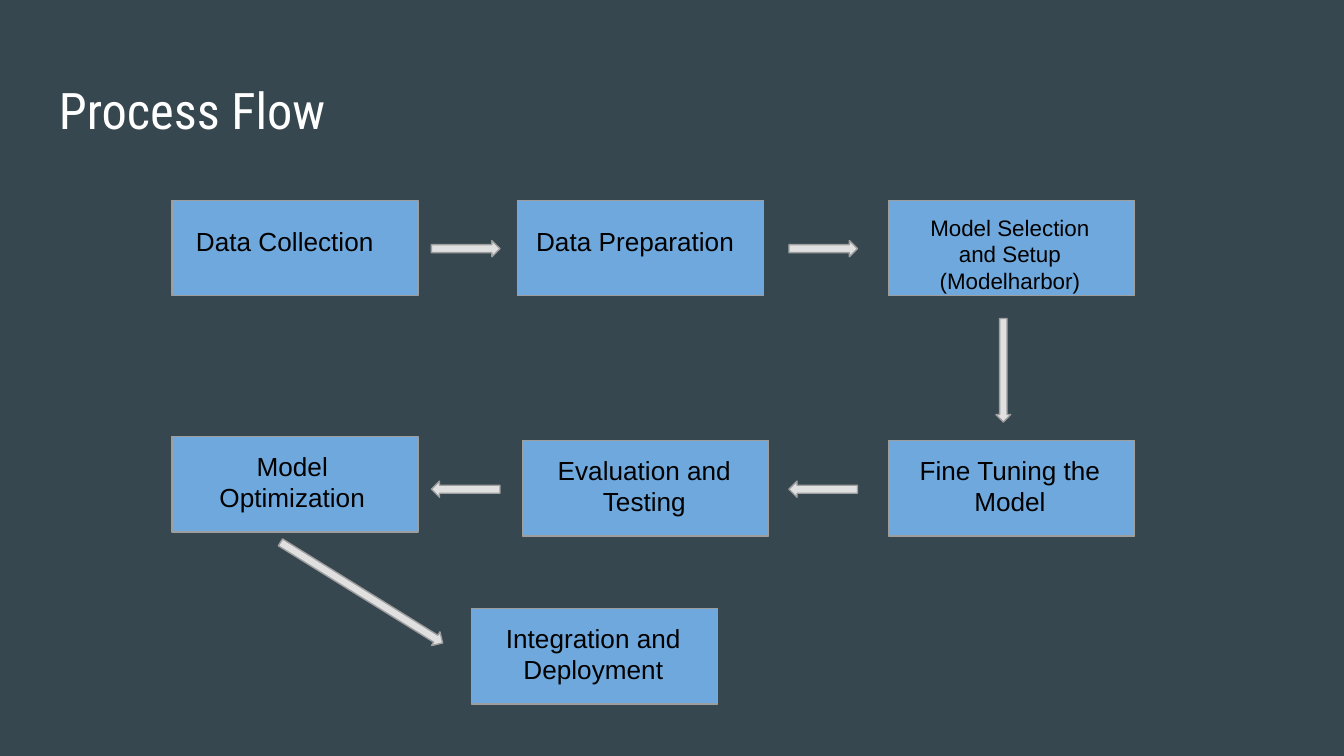
from typing import NamedTuple

from pptx import Presentation
from pptx.dml.color import RGBColor
from pptx.enum import shapes, text
from pptx.util import Inches, Pt

BOX_W, BOX_H = 1.83, 0.71
ARROW_W, ARROW_H = 0.51, 0.12
LEFT, RIGHT = 1.28, 6.61
TOP, LOW = 1.49, 3.28
EDGE = "9E9E9E"
CENTER, START = text.PP_ALIGN.CENTER, text.PP_ALIGN.LEFT


class Step(NamedTuple):
    name: str
    x: float
    y: float
    size: int = 14
    align: text.PP_ALIGN = CENTER
    inset: float = 0.09
    drop: float = 0
    w: float = 1.63


class Arrow(NamedTuple):
    x: float
    y: float
    turn: float = 0
    w: float = ARROW_W
    h: float = ARROW_H


STEPS = [
    Step("Data Collection", LEFT, TOP, align=START, inset=0.08, drop=0.09),
    Step("Data Preparation", 3.85, TOP, align=START, inset=0.04, drop=0.09,
         w=1.75),
    Step("Model Selection and Setup (Modelharbor)", RIGHT, TOP, size=12),
    Step("Fine Tuning the Model", RIGHT, LOW),
    Step("Evaluation and Testing", 3.89, LOW),
    Step("Model Optimization", LEFT, 3.25, inset=0.08),
    Step("Integration and Deployment", 3.51, 4.53),
]
ARROWS = [
    *(Arrow(x, y, turn) for y, turn in ((1.79, 0), (3.58, 180))
      for x in (3.21, 5.87)),
    Arrow(7.08, 2.7, 90, 0.77, 0.11),
    Arrow(1.98, 4.35, 31.8, 1.42),
]


def color(code: str) -> RGBColor:
    return RGBColor.from_string(code)


def add_block(slide, kind, x: float, y: float, w: float, h: float, fill: str):
    block = slide.shapes.add_shape(kind, *map(Inches, (x, y, w, h)))
    block.shadow.inherit = False
    block.fill.solid()
    block.fill.fore_color.rgb = color(fill)
    block.line.color.rgb = color(EDGE)
    block.line.width = Pt(0.75)
    return block


def add_label(slide, words: str, x: float, y: float, w: float, h: float,
              size: int, align=START, face: str = "Arial",
              ink: str = "000000") -> None:
    frame = slide.shapes.add_textbox(*map(Inches, (x, y, w, h))).text_frame
    pad = Inches(0.1)
    style = {"word_wrap": True, "margin_left": pad, "margin_right": pad,
             "margin_top": pad, "margin_bottom": pad}
    for key, value in style.items():
        setattr(frame, key, value)
    para = frame.paragraphs[0]
    para.alignment = align
    run = para.add_run()
    run.text = words
    for key, value in {"name": face, "size": Pt(size)}.items():
        setattr(run.font, key, value)
    run.font.color.rgb = color(ink)


def add_step(slide, step: Step) -> None:
    add_block(slide, shapes.MSO_SHAPE.RECTANGLE, step.x, step.y,
              BOX_W, BOX_H, "6FA8DC")
    add_label(slide, step.name, step.x + step.inset, step.y + step.drop,
              step.w, 0.52, step.size, step.align)


def add_arrow(slide, arrow: Arrow) -> None:
    block = add_block(slide, shapes.MSO_SHAPE.RIGHT_ARROW, arrow.x, arrow.y,
                      arrow.w, arrow.h, "E0E0E0")
    block.rotation = arrow.turn


def main() -> None:
    deck = Presentation()
    deck.slide_width = Inches(10)
    deck.slide_height = deck.slide_width * 9 // 16
    slide = deck.slides.add_slide(deck.slide_layouts[6])
    slide.background.fill.solid()
    slide.background.fill.fore_color.rgb = color("37474F")
    add_label(slide, "Process Flow", 0.34, 0.49, 9.32, 0.63, 27,
              face="Roboto Condensed", ink="FFFFFF")
    for step in STEPS:
        add_step(slide, step)
    for arrow in ARROWS:
        add_arrow(slide, arrow)
    deck.save("out.pptx")


if __name__ == "__main__":
    main()
